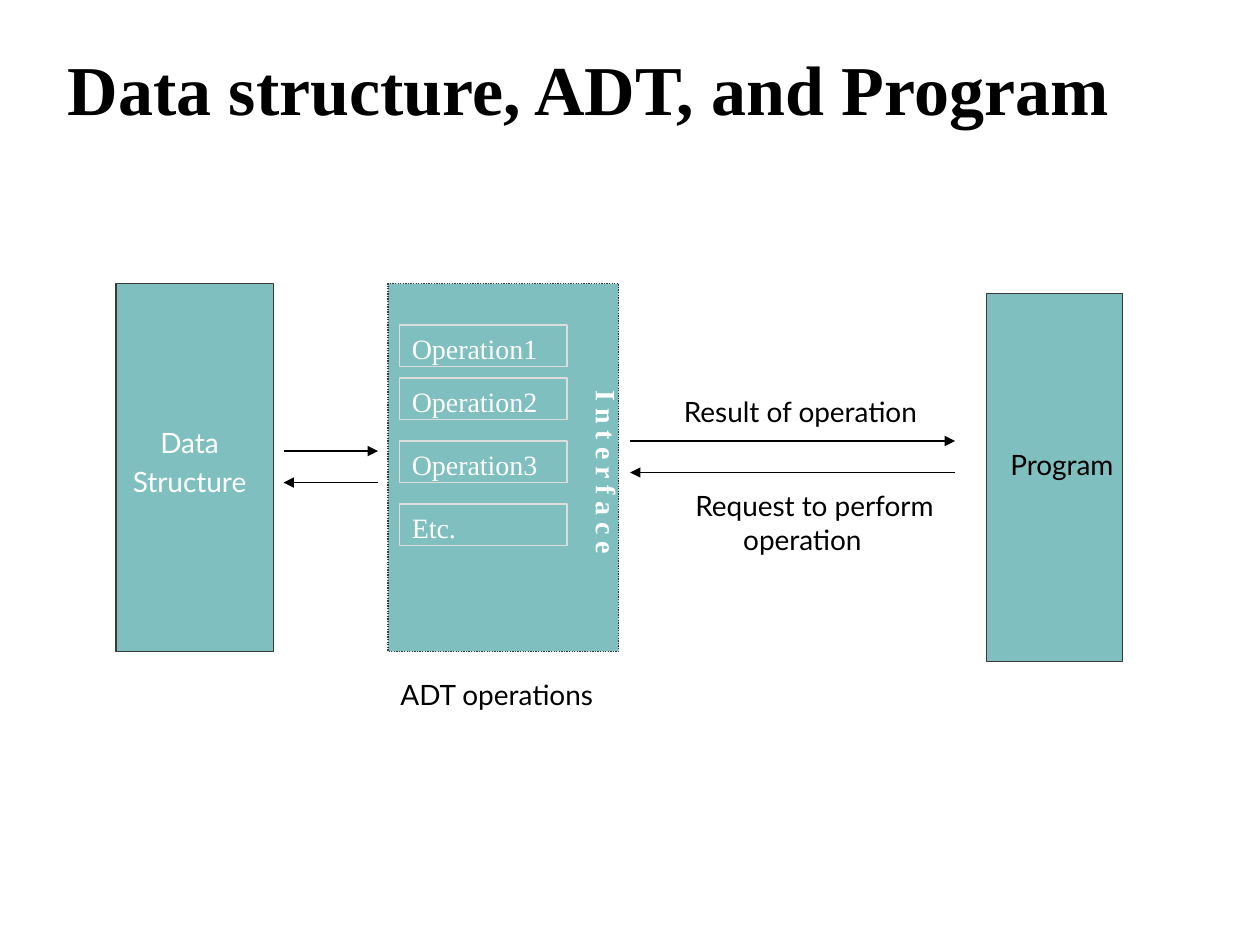
from dataclasses import dataclass

from lxml.etree import SubElement
from pptx import Presentation
from pptx.dml.color import RGBColor
from pptx.enum.dml import MSO_LINE
from pptx.enum.shapes import MSO_CONNECTOR, MSO_SHAPE
from pptx.enum.text import MSO_ANCHOR, MSO_AUTO_SIZE, PP_ALIGN
from pptx.oxml.ns import qn
from pptx.util import Inches, Pt

COLORS = {
    "teal": "008080",
    "edge": "393939",
    "pale": "DDDDDD",
    "white": "FFFFFF",
    "black": "000000",
}
SERIF = "Times New Roman"
SANS = "Lato"


@dataclass
class Box:
    left: float
    top: float
    width: float
    height: float

    def place(self) -> tuple:
        return tuple(map(Inches, (self.left, self.top, self.width, self.height)))


@dataclass
class Block:
    box: Box
    dotted: bool = False


@dataclass
class Label:
    text: str
    box: Box
    font: str = SANS
    color: str = "black"
    bold: bool = False
    align: PP_ALIGN = PP_ALIGN.LEFT
    turn: int = 0


@dataclass
class Arrow:
    start: float
    end: float
    y: float


def paint(name: str) -> RGBColor:
    return RGBColor.from_string(COLORS[name])


def write(shape, text: str, *, font: str = SANS, size: float = 16,
          color: str = "black", bold: bool = False,
          align: PP_ALIGN = PP_ALIGN.LEFT, anchor: MSO_ANCHOR = MSO_ANCHOR.TOP,
          indent: float = 0.38, gap: float = 3.2) -> None:
    frame = shape.text_frame
    frame.text = text
    frame.word_wrap = True
    frame.auto_size = MSO_AUTO_SIZE.NONE
    frame.vertical_anchor = anchor
    for index, para in enumerate(frame.paragraphs):
        props = para._p.get_or_add_pPr()
        props.set("marL", str(Inches(indent)))
        props.set("indent", str(-Inches(indent)))
        para.alignment = align
        para.space_before = Pt(gap if index else 0)
        para.font.name = font
        para.font.size = Pt(size)
        para.font.bold = bold
        para.font.color.rgb = paint(color)


def draw_rect(slide, box: Box, edge: str):
    shape = slide.shapes.add_shape(MSO_SHAPE.RECTANGLE, *box.place())
    shape.shadow.inherit = False
    shape.fill.background()
    shape.line.color.rgb = paint(edge)
    shape.line.width = Pt(0.75)
    return shape


def draw_block(slide, block: Block) -> None:
    shape = draw_rect(slide, block.box, "edge")
    shape.fill.solid()
    shape.fill.fore_color.rgb = paint("teal")
    tint = shape._element.spPr.find(qn("a:solidFill")).find(qn("a:srgbClr"))
    SubElement(tint, qn("a:alpha"), val="50000")
    if block.dotted:
        shape.line.dash_style = MSO_LINE.ROUND_DOT


def draw_label(slide, label: Label) -> None:
    shape = slide.shapes.add_textbox(*label.box.place())
    shape.rotation = label.turn
    write(shape, label.text, font=label.font, color=label.color,
          bold=label.bold, align=label.align)


def draw_arrow(slide, arrow: Arrow) -> None:
    line = slide.shapes.add_connector(
        MSO_CONNECTOR.STRAIGHT, Inches(arrow.start), Inches(arrow.y),
        Inches(arrow.end), Inches(arrow.y))
    line.line.color.rgb = paint("black")
    line.line.width = Pt(0.75)
    SubElement(line.line._get_or_add_ln(), qn("a:tailEnd"), type="triangle")
    SubElement(line._element.spPr, qn("a:effectLst"))


BLOCKS = [
    Block(Box(0.92, 2.25, 1.25, 2.92)),
    Block(Box(7.83, 2.33, 1.08, 2.92)),
    Block(Box(3.08, 2.25, 1.83, 2.92), dotted=True),
]
STEPS = {"Operation1": 2.58, "Operation2": 3, "Operation3": 3.5, "Etc.": 4}
LABELS = [
    Label("Program", Box(7.92, 3.5, 1.08, 0.33)),
    Label("Data\nStructure", Box(0.92, 3.33, 1.17, 0.67),
          color="white", align=PP_ALIGN.CENTER),
    Label("I n t e r f a c e", Box(3.96, 3.71, 1.75, 0.33),
          font=SERIF, color="white", bold=True, turn=90),
    Label("ADT operations", Box(3.08, 5.33, 1.75, 0.5)),
    Label("Request to perform operation", Box(5.42, 3.83, 2.42, 0.58)),
    Label("Result of operation", Box(5.33, 3.08, 2.17, 0.33)),
]
ARROWS = [
    Arrow(5, 7.58, 3.5),
    Arrow(7.58, 5, 3.75),
    Arrow(3, 2.25, 3.83),
    Arrow(2.25, 3, 3.58),
]


def main() -> None:
    deck = Presentation()
    deck.slide_width, deck.slide_height = Inches(10), Inches(7.5)
    slide = deck.slides.add_slide(deck.slide_layouts[5])

    title = slide.shapes.title
    title.left, title.top, title.width, title.height = Box(0.17, 0.33, 9, 0.75).place()
    write(title, "Data structure, ADT, and Program", font=SERIF, size=40,
          bold=True, align=PP_ALIGN.CENTER, anchor=MSO_ANCHOR.BOTTOM, indent=0)

    for block in BLOCKS:
        draw_block(slide, block)
    for text, top in STEPS.items():
        shape = draw_rect(slide, Box(3.17, top, 1.33, 0.33), "pale")
        write(shape, text, font=SERIF, color="white")
    for label in LABELS:
        draw_label(slide, label)
    for arrow in ARROWS:
        draw_arrow(slide, arrow)

    deck.save("out.pptx")


if __name__ == "__main__":
    main()
